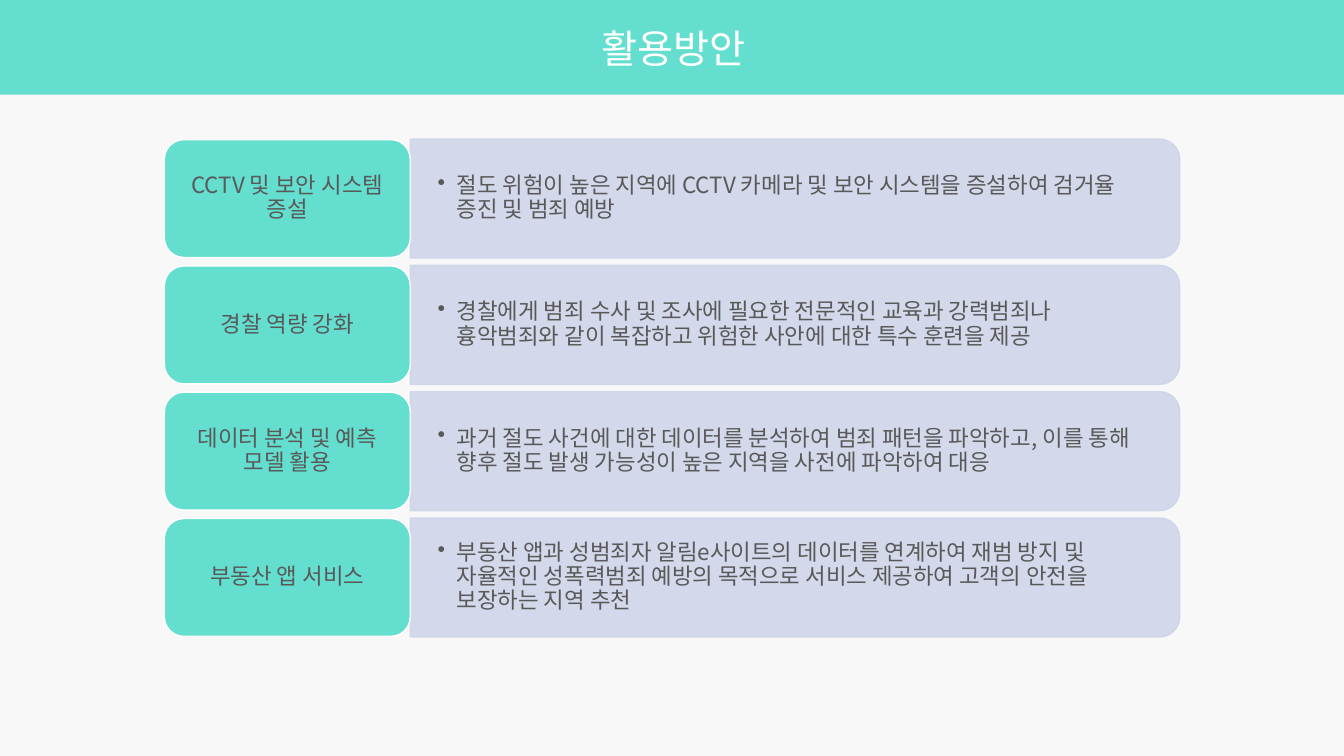
from dataclasses import dataclass

from lxml.etree import SubElement
from pptx import Presentation
from pptx.dml.color import RGBColor
from pptx.dml.fill import FillFormat
from pptx.enum.shapes import MSO_SHAPE
from pptx.enum.text import MSO_ANCHOR, PP_ALIGN
from pptx.oxml.ns import qn
from pptx.shapes.autoshape import Shape
from pptx.slide import Slide
from pptx.text.text import TextFrame
from pptx.util import Inches, Pt

FONT = "Noto Sans CJK KR"
COLORS = {
    "background": "F8F8F8",
    "mint": "64DECF",
    "lavender": "CFD5EA",
    "white": "FFFFFF",
    "text": "595959",
}
FIRST_CENTER = 1.97
ROW_PITCH = 1.253
LABEL_LEFT, LABEL_WIDTH, LABEL_HEIGHT = 1.63, 2.44, 1.17
PANEL_LEFT, PANEL_WIDTH, PANEL_HEIGHT = 4.07, 7.63, 1.18
DETAIL_WIDTH, DETAIL_HEIGHT = 7.57, 1.06


@dataclass
class Measure:
    label: str
    detail: str


MEASURES = [
    Measure(
        "CCTV 및 보안 시스템 증설",
        "절도 위험이 높은 지역에 CCTV 카메라 및 보안 시스템을 증설하여 검거율 증진 및 범죄 예방",
    ),
    Measure(
        "경찰 역량 강화",
        "경찰에게 범죄 수사 및 조사에 필요한 전문적인 교육과 강력범죄나 흉악범죄와 같이 "
        "복잡하고 위험한 사안에 대한 특수 훈련을 제공",
    ),
    Measure(
        "데이터 분석 및 예측 모델 활용",
        "과거 절도 사건에 대한 데이터를 분석하여 범죄 패턴을 파악하고, 이를 통해 향후 "
        "절도 발생 가능성이 높은 지역을 사전에 파악하여 대응",
    ),
    Measure(
        "부동산 앱 서비스",
        "부동산 앱과 성범죄자 알림e사이트의 데이터를 연계하여 재범 방지 및 자율적인 "
        "성폭력범죄 예방의 목적으로 서비스 제공하여 고객의 안전을 보장하는 지역 추천",
    ),
]


def paint(fill: FillFormat, color: str) -> None:
    fill.solid()
    fill.fore_color.rgb = RGBColor.from_string(COLORS[color])


def add_block(slide: Slide, kind: MSO_SHAPE, left: float, top: float,
              width: float, height: float, color: str, border: str = "") -> Shape:
    block = slide.shapes.add_shape(
        kind, Inches(left), Inches(top), Inches(width), Inches(height))
    block.shadow.inherit = False
    paint(block.fill, color)
    if border:
        paint(block.line.fill, border)
        block.line.width = Pt(1)
    else:
        block.line.fill.background()
    return block


def write(frame: TextFrame, text: str, size: int, color: str, inset_x: float,
          inset_y: float, bullet: bool = False) -> None:
    frame.word_wrap = True
    frame.vertical_anchor = MSO_ANCHOR.MIDDLE
    frame.margin_left = frame.margin_right = Inches(inset_x)
    frame.margin_top = frame.margin_bottom = Inches(inset_y)
    frame.text = text
    para = frame.paragraphs[0]
    para.line_spacing = 0.9
    para.alignment = PP_ALIGN.LEFT if bullet else PP_ALIGN.CENTER
    if bullet:
        para.level = 1
        properties = para._p.get_or_add_pPr()
        properties.set("marL", str(Inches(0.19)))
        properties.set("indent", str(-Inches(0.19)))
        SubElement(properties, qn("a:buChar")).set("char", "•")
    span = para.runs[0]
    span.font.size = Pt(size)
    span.font.name = FONT
    span.font.color.rgb = RGBColor.from_string(COLORS[color])
    SubElement(span.font._element, qn("a:ea")).set("typeface", FONT)


def add_panel(slide: Slide, center: float) -> None:
    """Turn a shape with two round top corners so that they face right."""
    panel = add_block(
        slide, MSO_SHAPE.ROUND_2_SAME_RECTANGLE,
        PANEL_LEFT + (PANEL_WIDTH - PANEL_HEIGHT) / 2, center - PANEL_WIDTH / 2,
        PANEL_HEIGHT, PANEL_WIDTH, "lavender", "lavender")
    panel.rotation = 90
    for color in panel._element.spPr.iter(qn("a:srgbClr")):
        SubElement(color, qn("a:alpha")).set("val", "90000")


def add_measure(slide: Slide, measure: Measure, center: float) -> None:
    add_panel(slide, center)
    box = slide.shapes.add_textbox(
        Inches(PANEL_LEFT), Inches(center - DETAIL_HEIGHT / 2),
        Inches(DETAIL_WIDTH), Inches(DETAIL_HEIGHT))
    write(box.text_frame, measure.detail, 16, "text", 0.27, 0.14, bullet=True)
    label = add_block(
        slide, MSO_SHAPE.ROUNDED_RECTANGLE, LABEL_LEFT, center - LABEL_HEIGHT / 2,
        LABEL_WIDTH, LABEL_HEIGHT, "mint", "white")
    write(label.text_frame, measure.label, 16, "text", 0.07, 0.03)


def main() -> None:
    deck = Presentation()
    deck.slide_width, deck.slide_height = Inches(13.33), Inches(7.5)
    page = deck.slides.add_slide(deck.slide_layouts[6])
    paint(page.background.fill, "background")
    banner = add_block(page, MSO_SHAPE.RECTANGLE, 0, 0, 13.36, 0.94, "mint")
    write(banner.text_frame, "활용방안", 28, "white", 0.1, 0.05)
    banner.text_frame.paragraphs[0].line_spacing = 1.0
    for row, measure in enumerate(MEASURES):
        add_measure(page, measure, FIRST_CENTER + row * ROW_PITCH)
    deck.save("out.pptx")


if __name__ == "__main__":
    main()
